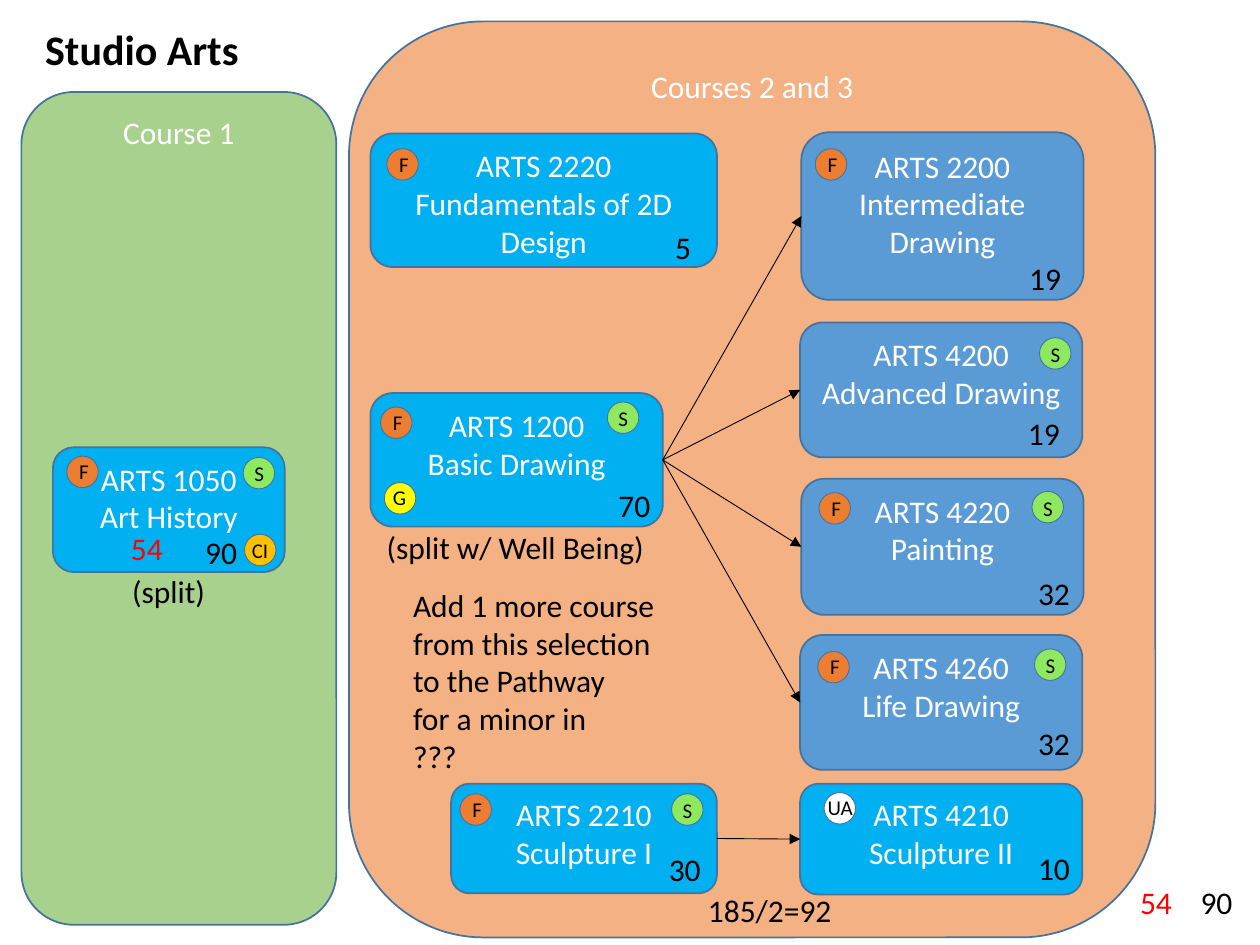
from lxml.etree import SubElement
from pptx import Presentation
from pptx.dml.color import RGBColor
from pptx.enum.shapes import MSO_CONNECTOR, MSO_SHAPE
from pptx.enum.text import MSO_ANCHOR, MSO_AUTO_SIZE, PP_ALIGN
from pptx.oxml.ns import qn
from pptx.util import Inches, Pt

COLORS = {
    "peach": "F4B183", "sage": "A9D18E", "cyan": "00B0F0", "blue": "5B9BD5",
    "outline": "43739E", "orange": "ED7D31", "green": "8EE961",
    "yellow": "FFFF00", "gold": "FFC000", "white": "FFFFFF",
    "black": "000000", "red": "FF0000",
}
FONT = "Calibri"
BADGE_SIZE = 0.25
LEFT_SITE, RIGHT_SITE = 1, 3

PANELS = [
    ("Courses 2 and 3", "peach", (2.77, 0.17, 6.4, 7.27)),
    ("Course 1", "sage", (0.17, 0.73, 2.5, 6.61)),
]
COURSES = [
    ("ARTS 2210", "Sculpture I", "cyan", (3.58, 6.22, 2.11, 0.87)),
    ("ARTS 2220", "Fundamentals of 2D Design", "cyan", (2.94, 1.06, 2.75, 1.06)),
    ("ARTS 2200", "Intermediate Drawing", "blue", (6.36, 1.05, 2.24, 1.33)),
    ("ARTS 4200", "Advanced Drawing", "blue", (6.35, 2.56, 2.24, 1.07)),
    ("ARTS 4210", "Sculpture II", "cyan", (6.35, 6.22, 2.24, 0.88)),
    ("ARTS 4220", "Painting", "blue", (6.36, 3.8, 2.24, 1.08)),
    ("ARTS 4260", "Life Drawing", "blue", (6.35, 5.04, 2.24, 1.07)),
    ("ARTS 1050", "Art History", "cyan", (0.42, 3.55, 1.84, 0.99)),
    ("ARTS 1200", "Basic Drawing", "cyan", (2.94, 3.12, 2.32, 1.06)),
]
SEQUENCES = [
    ("ARTS 1200", "ARTS 2200"), ("ARTS 1200", "ARTS 4200"),
    ("ARTS 1200", "ARTS 4220"), ("ARTS 1200", "ARTS 4260"),
    ("ARTS 2210", "ARTS 4210"),
]
BADGE_STYLES = {
    "F": ("orange", 0, -0.03, 0.28),
    "S": ("green", -0.01, -0.02, 0.28),
    "G": ("yellow", -0.03, -0.03, 0.31),
    "CI": ("gold", -0.04, -0.02, 0.33),
    "UA": ("white", -0.07, -0.03, 0.41),
}
BADGES = {
    "F": [(6.47, 1.18), (3.07, 1.18), (0.53, 3.62), (6.5, 3.91),
          (3.02, 3.23), (6.49, 5.17), (3.65, 6.3)],
    "S": [(1.93, 3.63), (8.19, 3.9), (4.82, 3.19), (8.21, 5.15),
          (5.33, 6.3), (8.25, 2.68)],
    "G": [(3.05, 3.83)],
    "CI": [(1.94, 4.24)],
    "UA": [(6.54, 6.29)],
}
PATHWAY_NOTE = ["Add 1 more course", "from this selection", "to the Pathway",
                "for a minor in", "???"]
NOTES = [
    (PATHWAY_NOTE, (3.18, 4.6, 2.17, 1.62)),
    (["(split)"], (0.95, 4.49, 0.79, 0.4)),
    (["(split w/ Well Being)"], (2.97, 4.14, 2.27, 0.4)),
    (["185/2=92"], (5.52, 7.02, 1.19, 0.4)),
]
COUNTS = [
    ("19", 8.07, 2.01, "black"), ("32", 8.14, 4.51, "black"),
    ("32", 8.14, 5.7, "black"), ("70", 4.81, 3.81, "black"),
    ("90", 1.53, 4.18, "black"), ("5", 5.26, 1.76, "black"),
    ("30", 5.21, 6.7, "black"), ("19", 8.06, 3.24, "black"),
    ("10", 8.14, 6.69, "black"), ("90", 9.43, 6.96, "black"),
    ("54", 0.94, 4.15, "red"), ("54", 8.95, 6.96, "red"),
]


def rgb(name):
    """Return the named colour."""
    return RGBColor.from_string(COLORS[name])


def write_lines(frame, lines, size, color, align=PP_ALIGN.LEFT, bold=False):
    """Write one paragraph per line with a shared font."""
    for index, line in enumerate(lines):
        para = frame.add_paragraph() if index else frame.paragraphs[0]
        para.text = line
        para.alignment = align
        para.font.name = FONT
        para.font.size = Pt(size)
        para.font.bold = bold
        para.font.color.rgb = rgb(color)


def add_outlined(shapes, kind, place, fill, line_width):
    """Add a filled shape with the common outline."""
    box = shapes.add_shape(kind, *map(Inches, place))
    box.shadow.inherit = False
    box.fill.solid()
    box.fill.fore_color.rgb = rgb(fill)
    box.line.color.rgb = rgb("outline")
    box.line.width = Pt(line_width)
    return box


def add_card(shapes, lines, fill, place):
    """Add a rounded card with white centred text at its top."""
    card = add_outlined(shapes, MSO_SHAPE.ROUNDED_RECTANGLE, place, fill, 1)
    frame = card.text_frame
    frame.word_wrap = True
    frame.vertical_anchor = MSO_ANCHOR.TOP
    write_lines(frame, lines, 18, "white", PP_ALIGN.CENTER)
    return card


def add_label(shapes, lines, place, size=18, color="black", bold=False):
    """Add an unwrapped text box."""
    frame = shapes.add_textbox(*map(Inches, place)).text_frame
    frame.word_wrap = False
    frame.auto_size = MSO_AUTO_SIZE.SHAPE_TO_FIT_TEXT
    write_lines(frame, lines, size, color, bold=bold)


def add_badge(shapes, letter, left, top):
    """Add a grouped circle and letter."""
    fill, shift_x, shift_y, width = BADGE_STYLES[letter]
    group = shapes.add_group_shape()
    circle = (left, top, BADGE_SIZE, BADGE_SIZE)
    add_outlined(group.shapes, MSO_SHAPE.OVAL, circle, fill, 0.5)
    place = (left + shift_x, top + shift_y, width, 0.3)
    add_label(group.shapes, [letter], place, size=12)


def add_arrow(shapes, start, end):
    """Connect the right side of one card to the left side of another."""
    arrow = shapes.add_connector(MSO_CONNECTOR.STRAIGHT, 0, 0, 0, 0)
    arrow.begin_connect(start, RIGHT_SITE)
    arrow.end_connect(end, LEFT_SITE)
    arrow.line.color.rgb = rgb("black")
    arrow.line.width = Pt(0.5)
    SubElement(arrow.line._get_or_add_ln(), qn("a:tailEnd"), type="triangle")
    SubElement(arrow._element.spPr, qn("a:effectLst"))


def main():
    """Build the Studio Arts pathway slide."""
    deck = Presentation()
    deck.slide_width, deck.slide_height = Inches(10), Inches(7.5)
    page = deck.slides.add_slide(deck.slide_layouts[6])
    shapes = page.shapes
    for title, fill, place in PANELS:
        add_card(shapes, [title], fill, place)
    add_label(shapes, ["Studio Arts"], (0.26, 0.14, 1.75, 0.5), size=24, bold=True)
    cards = {code: add_card(shapes, [code, title], fill, place)
             for code, title, fill, place in COURSES}
    for start, end in SEQUENCES:
        add_arrow(shapes, cards[start], cards[end])
    for lines, place in NOTES:
        add_label(shapes, lines, place)
    for letter, spots in BADGES.items():
        for left, top in spots:
            add_badge(shapes, letter, left, top)
    for count, left, top, color in COUNTS:
        width = 0.46 if len(count) == 2 else 0.33
        add_label(shapes, [count], (left, top, width, 0.4), color=color)
    deck.save("out.pptx")


if __name__ == "__main__":
    main()
